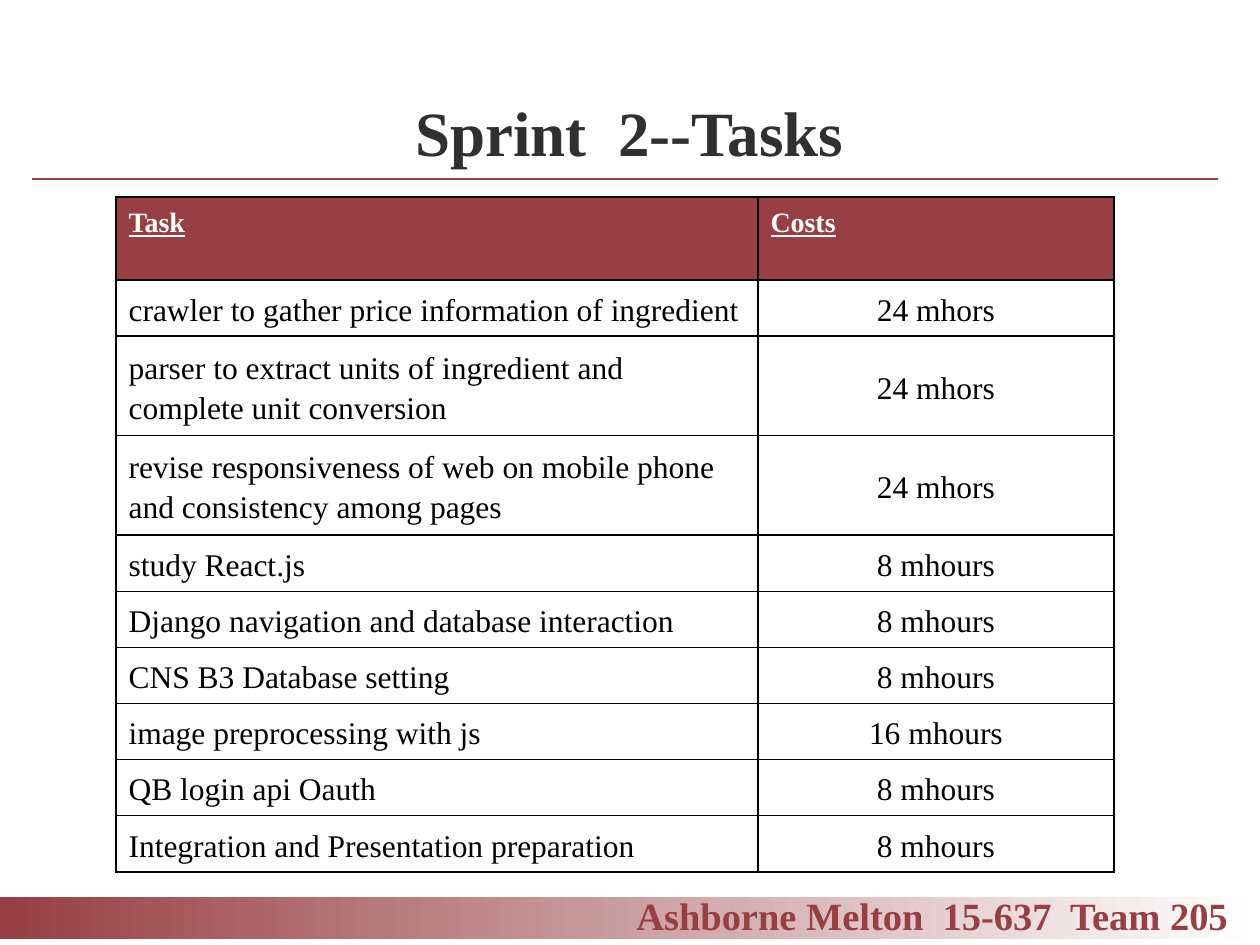
import pptx
import pptx.util
import pptx.oxml
import pptx.oxml.ns
from pptx.dml.color import RGBColor
from pptx.enum.shapes import MSO_CONNECTOR, MSO_SHAPE
from pptx.enum.text import MSO_ANCHOR, PP_ALIGN

PX = 914400 // 126
FONT = "Times New Roman"
MAROON = RGBColor(0x97, 0x3F, 0x43)
WHITE = RGBColor(0xFF, 0xFF, 0xFF)
BLACK = RGBColor(0, 0, 0)
CHARCOAL = RGBColor(0x30, 0x30, 0x30)

HEADER = ("Task", "Costs")
TASKS = [
    ("crawler to gather price information of ingredient", "24 mhors"),
    ("parser to extract units of ingredient and complete unit conversion", "24 mhors"),
    ("revise responsiveness of web on mobile phone and consistency among pages", "24 mhors"),
    ("study React.js", "8 mhours"),
    ("Django navigation and database interaction", "8 mhours"),
    ("CNS B3 Database setting", "8 mhours"),
    ("image preprocessing with js", "16 mhours"),
    ("QB login api Oauth", "8 mhours"),
    ("Integration and Presentation preparation", "8 mhours"),
]
COLUMN_WIDTHS = (642, 356)
HEADER_HEIGHT, ROW_HEIGHT, TALL_ROW_HEIGHT = 83, 56, 99
LINE_LIMIT = 50

HEADER_FORMAT = {"size": pptx.util.Pt(16), "bold": True, "underline": True}
BODY_FORMAT = {"size": pptx.util.Pt(18), "bold": False}
TITLE_FORMAT = {"size": pptx.util.Pt(36), "bold": True}
FOOTER_FORMAT = {"size": pptx.util.Pt(22), "bold": True}


def px(*lengths):
    """Turn lengths in px into EMU."""
    return [length * PX for length in lengths]


def write(frame, text, color, font_format, align=PP_ALIGN.LEFT):
    para = frame.paragraphs[0]
    para.alignment = align
    span = para.add_run()
    span.text = text
    span.font.color.rgb = color
    for name, value in {"name": FONT, **font_format}.items():
        setattr(span.font, name, value)
    return para


def add_title(slide, text):
    title = slide.shapes.title
    title.left, title.top, title.width, title.height = px(36, 53, 1187, 157)
    title.text_frame.vertical_anchor = MSO_ANCHOR.MIDDLE
    para = write(title.text_frame, text, CHARCOAL, TITLE_FORMAT, PP_ALIGN.CENTER)
    shadow = pptx.oxml.parse_xml(
        f'<a:effectLst {pptx.oxml.ns.nsdecls("a")}>'
        '<a:outerShdw blurRad="38100" dist="38100" dir="2700000">'
        '<a:srgbClr val="C0C0C0"><a:alpha val="60000"/></a:srgbClr>'
        '</a:outerShdw></a:effectLst>')
    fill = para.runs[0].font._element.find(pptx.oxml.ns.qn("a:solidFill"))
    fill.addnext(shadow)


def add_rule(slide):
    rule = slide.shapes.add_connector(
        MSO_CONNECTOR.STRAIGHT, *px(32, 179, 1218, 179))
    rule.line.color.rgb = MAROON
    rule.line.width = pptx.util.Pt(1.5)
    rule._element.spPr.append(
        pptx.oxml.parse_xml(f'<a:effectLst {pptx.oxml.ns.nsdecls("a")}/>'))


def add_footer(slide, text):
    band = slide.shapes.add_shape(MSO_SHAPE.RECTANGLE, *px(0, 897, 1260, 42))
    band.shadow.inherit = False
    band.line.fill.background()
    band.fill.gradient()
    band.fill.gradient_angle = 0
    for stop, color in zip(band.fill.gradient_stops, (MAROON, WHITE)):
        stop.color.rgb = color

    box = slide.shapes.add_textbox(*px(624, 886, 714, 59))
    box.text_frame.word_wrap = True
    write(box.text_frame, text, MAROON, FOOTER_FORMAT).space_before = pptx.util.Pt(11)


def add_borders(cell):
    properties = cell._tc.get_or_add_tcPr()
    for index, side in enumerate(("lnL", "lnR", "lnT", "lnB")):
        properties.insert(index, pptx.oxml.parse_xml(
            f'<a:{side} {pptx.oxml.ns.nsdecls("a")} w="12700">'
            f'<a:solidFill><a:srgbClr val="{BLACK}"/></a:solidFill></a:{side}>'))


def fill_cell(cell, text, color, font_format, align, anchor, background):
    para = write(cell.text_frame, text, color, font_format, align)
    para.line_spacing = 1.15
    para.space_after = pptx.util.Pt(10)
    cell.vertical_anchor = anchor
    if background is None:
        cell.fill.background()
    else:
        cell.fill.solid()
        cell.fill.fore_color.rgb = background
    add_borders(cell)


def add_task_table(slide):
    heights = [HEADER_HEIGHT] + [
        TALL_ROW_HEIGHT if len(task) > LINE_LIMIT else ROW_HEIGHT
        for task, _ in TASKS]
    table = slide.shapes.add_table(
        len(heights), len(COLUMN_WIDTHS),
        *px(116, 197, sum(COLUMN_WIDTHS), sum(heights))).table
    for column, width in zip(table.columns, COLUMN_WIDTHS):
        column.width = width * PX
    for row, height in zip(table.rows, heights):
        row.height = height * PX

    for column, text in enumerate(HEADER):
        fill_cell(table.cell(0, column), text, WHITE, HEADER_FORMAT,
                  PP_ALIGN.LEFT, MSO_ANCHOR.TOP, MAROON)
    alignments = (PP_ALIGN.LEFT, PP_ALIGN.CENTER)
    for row, task in enumerate(TASKS, start=1):
        for column, (text, align) in enumerate(zip(task, alignments)):
            fill_cell(table.cell(row, column), text, BLACK, BODY_FORMAT,
                      align, MSO_ANCHOR.MIDDLE, None)


def main():
    deck = pptx.Presentation()
    deck.slide_width, deck.slide_height = px(1260, 945)
    slide = deck.slides.add_slide(deck.slide_layouts[5])
    add_footer(slide, "Ashborne Melton  15-637  Team 205")
    add_rule(slide)
    add_task_table(slide)
    add_title(slide, "Sprint  2--Tasks")
    deck.save("out.pptx")


if __name__ == "__main__":
    main()
